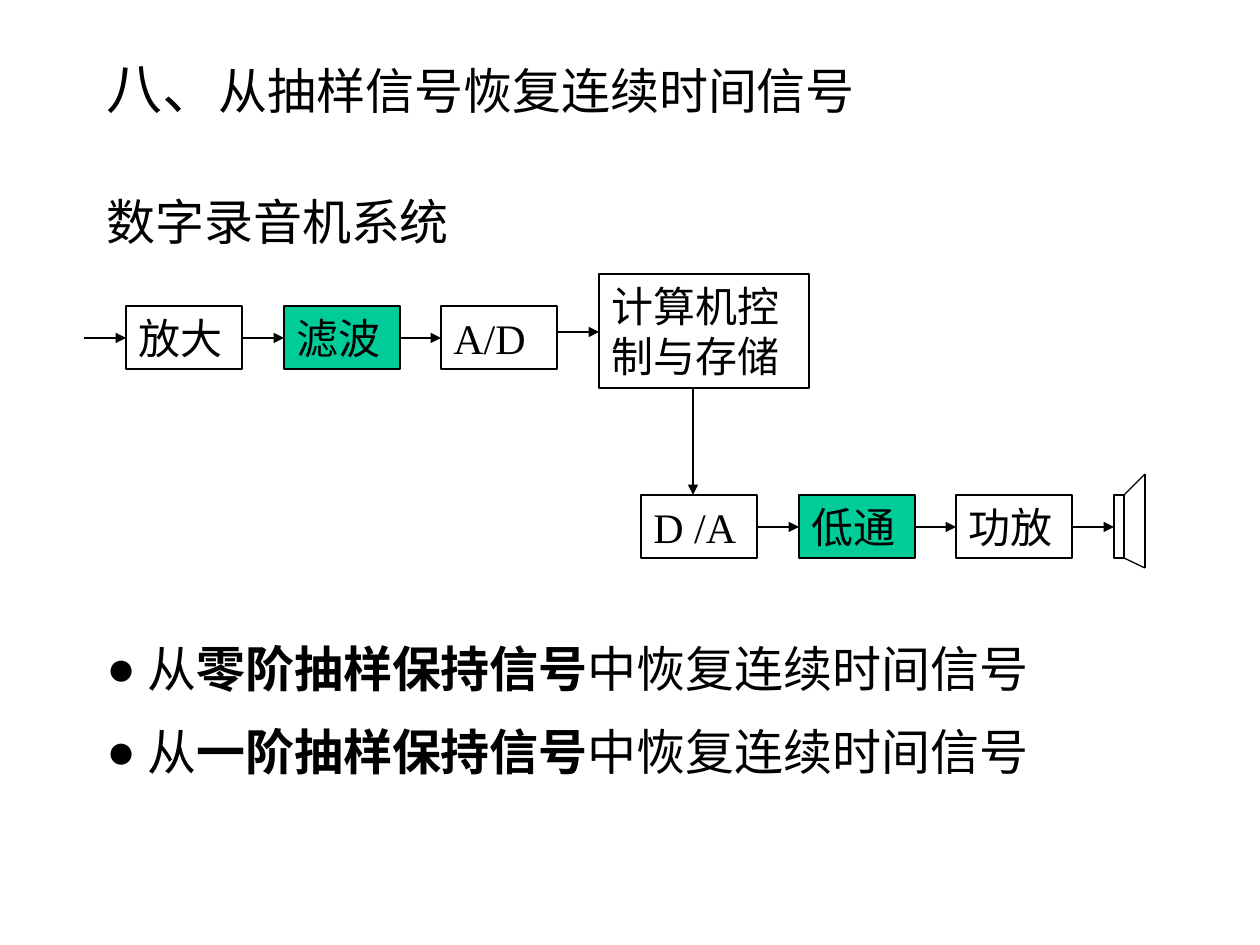
from dataclasses import dataclass

from lxml.etree import SubElement
from pptx import Presentation
from pptx.dml.color import RGBColor
from pptx.enum.shapes import MSO_CONNECTOR, MSO_SHAPE
from pptx.enum.text import MSO_ANCHOR, MSO_AUTO_SIZE, PP_ALIGN
from pptx.oxml.ns import qn
from pptx.util import Emu, Pt

EMU_PER_PX = 914400 / 126
BLACK = "000000"
GREEN = "00CC99"
SERIF = "Times New Roman"
SANS = "Arial"
ARROW_LENGTH = 42
BULLET_INDENT = 41


@dataclass(frozen=True)
class Box:
    left: int
    top: int
    width: int
    height: int


@dataclass(frozen=True)
class Stage:
    label: str
    box: Box
    fill: str | None = None
    has_input: bool = True


def px(length: int) -> Emu:
    return Emu(round(length * EMU_PER_PX))


def color(value: str) -> RGBColor:
    return RGBColor.from_string(value)


def place(box: Box) -> tuple[Emu, Emu, Emu, Emu]:
    return px(box.left), px(box.top), px(box.width), px(box.height)


def set_up_frame(frame) -> None:
    frame.word_wrap = True
    frame.auto_size = MSO_AUTO_SIZE.NONE
    frame.vertical_anchor = MSO_ANCHOR.TOP


def format_run(run, size: int, font: str = SERIF, bold: bool = False) -> None:
    run.font.size = Pt(size)
    run.font.name = font
    run.font.bold = bold
    run.font.color.rgb = color(BLACK)


def draw_line(slide, x1: int, y1: int, x2: int, y2: int, arrow: bool = False) -> None:
    line = slide.shapes.add_connector(
        MSO_CONNECTOR.STRAIGHT, px(x1), px(y1), px(x2), px(y2))
    line.line.color.rgb = color(BLACK)
    line.line.width = Pt(0.75)
    if arrow:
        SubElement(line.line._get_or_add_ln(), qn("a:tailEnd"), type="triangle")
    SubElement(line._element.spPr, qn("a:effectLst"))


def draw_rectangle(slide, box: Box, fill: str | None = None):
    rectangle = slide.shapes.add_shape(MSO_SHAPE.RECTANGLE, *place(box))
    rectangle.shadow.inherit = False
    if fill:
        rectangle.fill.solid()
        rectangle.fill.fore_color.rgb = color(fill)
    else:
        rectangle.fill.background()
    rectangle.line.color.rgb = color(BLACK)
    rectangle.line.width = Pt(0.75)
    return rectangle


def draw_stage(slide, stage: Stage) -> None:
    """Draw a labelled block and the arrow that enters it from the left."""
    box = stage.box
    frame = draw_rectangle(slide, box, stage.fill).text_frame
    set_up_frame(frame)
    frame.text = stage.label
    paragraph = frame.paragraphs[0]
    paragraph.alignment = PP_ALIGN.LEFT
    format_run(paragraph.runs[0], 24)
    if stage.has_input:
        draw_input_arrow(slide, box)


def draw_input_arrow(slide, box: Box) -> None:
    middle = box.top + box.height // 2 + 1
    draw_line(slide, box.left - ARROW_LENGTH, middle, box.left, middle, arrow=True)


def draw_speaker(slide) -> None:
    body = Box(1114, 495, 10, 63)
    draw_rectangle(slide, body)
    draw_input_arrow(slide, body)
    neck, mouth = body.left + body.width, 1145
    draw_line(slide, neck, 495, mouth, 474)
    draw_line(slide, neck, 558, mouth, 568)
    draw_line(slide, mouth, 474, mouth, 568)


def write_title(slide) -> None:
    title = slide.shapes.title
    title.left, title.top, title.width, title.height = place(Box(94, 55, 1101, 80))
    frame = title.text_frame
    set_up_frame(frame)
    paragraph = frame.paragraphs[0]
    paragraph.alignment = PP_ALIGN.LEFT
    paragraph.line_spacing = 0.9
    for text, size in (("八、", 32), ("从抽样信号恢复连续时间信号", 28)):
        run = paragraph.add_run()
        run.text = text
        format_run(run, size)


def write_subtitle(slide) -> None:
    frame = slide.shapes.add_textbox(*place(Box(94, 192, 1101, 76))).text_frame
    set_up_frame(frame)
    frame.text = "数字录音机系统"
    frame.paragraphs[0].line_spacing = 0.9
    format_run(frame.paragraphs[0].runs[0], 28)


def add_bullet(paragraph) -> None:
    properties = paragraph._p.get_or_add_pPr()
    properties.set("marL", str(px(BULLET_INDENT)))
    properties.set("indent", str(-px(BULLET_INDENT)))
    bullet_color = SubElement(properties, qn("a:buClr"))
    SubElement(bullet_color, qn("a:srgbClr"), val=BLACK)
    SubElement(properties, qn("a:buFont"), typeface=SANS)
    SubElement(properties, qn("a:buChar"), char="●")


def write_recovery_points(slide) -> None:
    frame = slide.shapes.add_textbox(*place(Box(94, 621, 963, 310))).text_frame
    set_up_frame(frame)
    for index, hold in enumerate(("零阶抽样保持信号", "一阶抽样保持信号")):
        paragraph = frame.add_paragraph() if index else frame.paragraphs[0]
        add_bullet(paragraph)
        paragraph.line_spacing = 1.2
        if index:
            paragraph.space_before = Pt(7)
        for text, bold in (("从", False), (hold, True), ("中恢复连续时间信号", False)):
            run = paragraph.add_run()
            run.text = text
            format_run(run, 28, SANS, bold)


STAGES = (
    Stage("放大", Box(126, 306, 116, 63)),
    Stage("滤波", Box(284, 306, 116, 63), GREEN),
    Stage("A/D", Box(441, 306, 116, 63)),
    Stage("计算机控制与存储", Box(599, 274, 210, 114)),
    Stage("D /A", Box(641, 495, 116, 63), has_input=False),
    Stage("低通", Box(799, 495, 116, 63), GREEN),
    Stage("功放", Box(956, 495, 116, 63)),
)


def main() -> None:
    presentation = Presentation()
    presentation.slide_width, presentation.slide_height = px(1260), px(945)
    slide = presentation.slides.add_slide(presentation.slide_layouts[5])
    write_title(slide)
    write_subtitle(slide)
    for stage in STAGES:
        draw_stage(slide, stage)
    draw_line(slide, 693, 389, 693, 495, arrow=True)
    draw_speaker(slide)
    write_recovery_points(slide)
    presentation.save("out.pptx")


if __name__ == "__main__":
    main()
